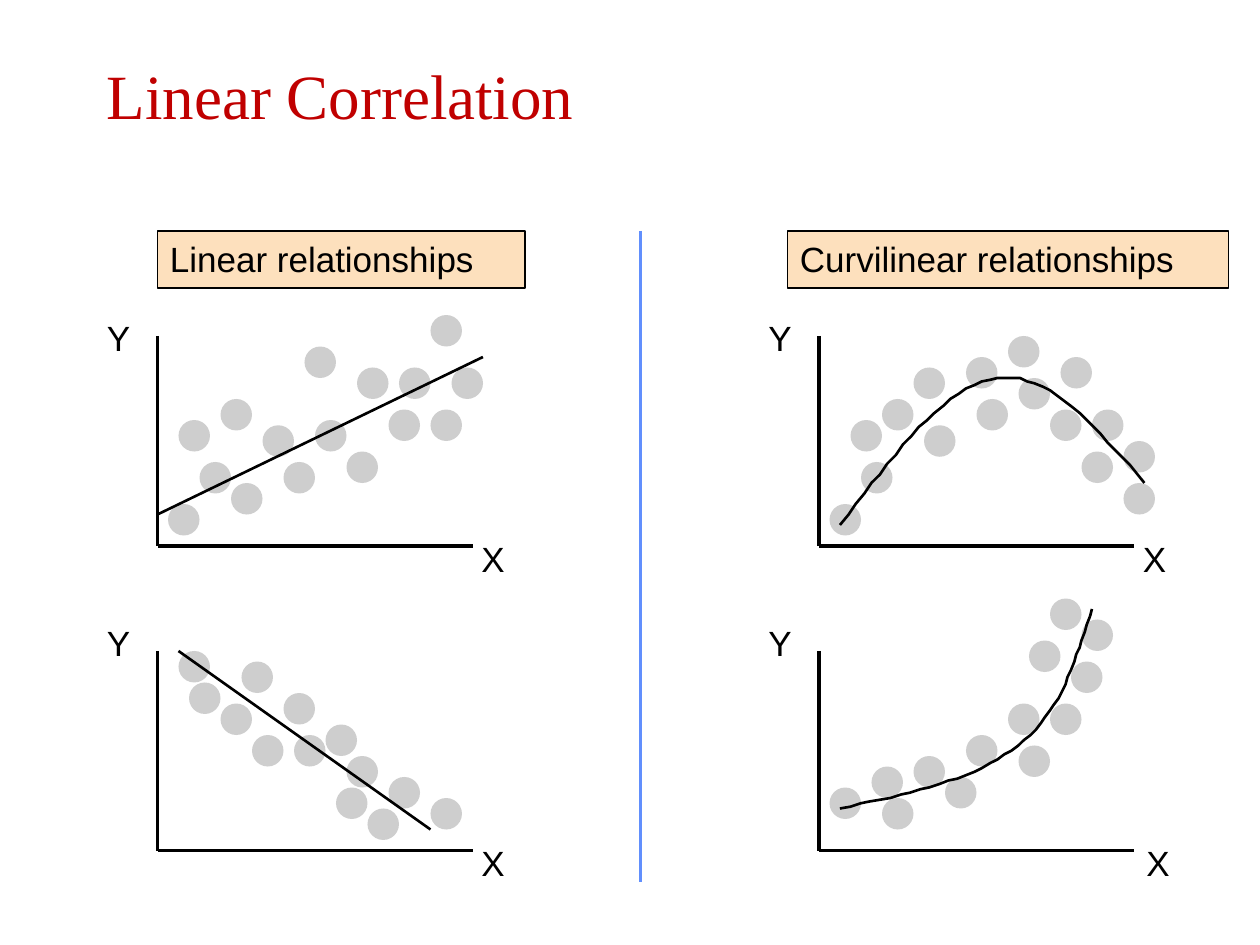
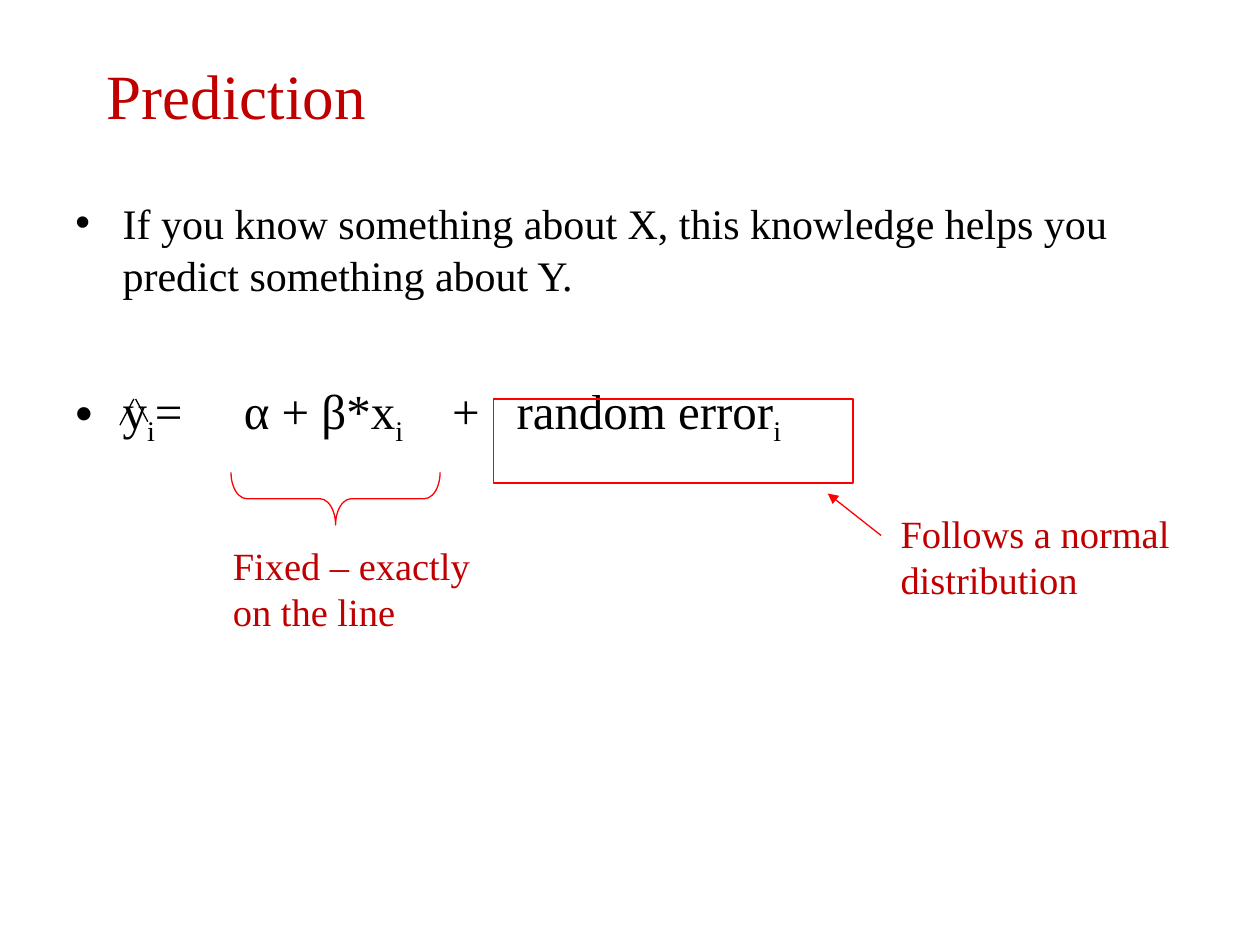
from collections import namedtuple

from lxml.etree import SubElement
from pptx import Presentation
from pptx.dml.color import RGBColor
from pptx.enum.shapes import MSO_CONNECTOR as Connector, MSO_SHAPE as Shape
from pptx.enum.text import MSO_ANCHOR as Anchor
from pptx.oxml.ns import qn
from pptx.util import Pt

SANS, SERIF = "Arial", "Times New Roman"
BLACK, DARK_RED, RED = "000000", "C00000", "FF0000"
DOT_GRAY, CAPTION_FILL, DIVIDER_BLUE = "CECECE", "FDE0BD", "618FFD"
GRID = 6
DOT_SIZE = 18
CURVE_STEPS = 20

Box = namedtuple("Box", "left top width height")

RISING_DOTS = [(1, 16), (4, 12), (26, -2), (28, 3), (7, 14), (23, 3), (18, 11), (19, 3),
               (14, 1), (2, 8), (6, 6), (10, 8.5), (22, 7), (15, 8), (12, 12), (26, 7)]
FALLING_DOTS = [(20, 15), (3, 3), (26, 14), (8, 1), (18, 10), (22, 12), (12, 4),
                (2, 0), (6, 5), (9, 8), (17, 13), (16, 7), (13, 8)]
ARCH_DOTS = [(1, 16), (4, 12), (29, 10), (23, 2), (9, 3), (29, 14), (25, 11), (19, 4),
             (14, 2), (3, 8), (6, 6), (10, 8.5), (22, 7), (15, 6), (18, 0), (26, 7)]
GROWTH_DOTS = [(1, 13), (5, 11), (25, -3), (24, 1), (6, 14), (20, -1), (19, 9),
               (18, 5), (22, -5), (9, 10), (22, 5), (14, 8), (12, 12)]
RISING_LINE = [(0, 17), (31, 2)]
FALLING_LINE = [(2, 0), (26, 17)]
ARCH_CURVE = [(2, 18), (7.1, 11.3), (12.1, 4.7), (17, 4), (21.8, 3.3), (26.4, 8.7), (31, 14)]
GROWTH_CURVE = [(2, 15), (8.5, 13.6), (15, 12.2), (19, 9), (23, 5.8), (24.5, 0.9), (26, -4)]


def color(value):
    return RGBColor.from_string(value)


def style_font(font, size, name, value):
    font.size = Pt(size)
    font.name = name
    font.color.rgb = color(value)


def style_line(line, value, width):
    line.color.rgb = color(value)
    line.width = Pt(width)


def add_text(slide, box, text, size, name, value, wrap=True):
    shape = slide.shapes.add_textbox(*map(Pt, box))
    frame = shape.text_frame
    frame.word_wrap = wrap
    frame.text = text
    style_font(frame.paragraphs[0].font, size, name, value)
    return shape


def add_shape(slide, kind, box, fill=None, line=None, width=1):
    shape = slide.shapes.add_shape(kind, *map(Pt, box))
    shape.shadow.inherit = False
    if fill:
        shape.fill.solid()
        shape.fill.fore_color.rgb = color(fill)
    else:
        shape.fill.background()
    if line:
        style_line(shape.line, line, width)
    else:
        shape.line.fill.background()
    return shape


def add_line(slide, start, end, value=BLACK, width=2, arrow=False):
    connector = slide.shapes.add_connector(Connector.STRAIGHT, *map(Pt, (*start, *end)))
    style_line(connector.line, value, width)
    properties = connector._element.spPr
    if arrow:
        SubElement(properties.find(qn("a:ln")), qn("a:tailEnd"), type="triangle")
    SubElement(properties, qn("a:effectLst"))


def bezier_point(controls, t):
    weights = ((1 - t) ** 3, 3 * t * (1 - t) ** 2, 3 * t * t * (1 - t), t ** 3)
    return tuple(sum(w * point[axis] for w, point in zip(weights, controls)) for axis in (0, 1))


def add_curve(slide, points):
    vertices = [bezier_point(points[first:first + 4], step / CURVE_STEPS)
                for first in range(0, len(points) - 1, 3)
                for step in range(1, CURVE_STEPS + 1)]
    builder = slide.shapes.build_freeform(*points[0], scale=Pt(1))
    builder.add_line_segments(vertices, close=False)
    shape = builder.convert_to_shape()
    shape.shadow.inherit = False
    shape.fill.background()
    style_line(shape.line, BLACK, 1.5)


def add_title(slide, text):
    title = add_text(slide, Box(54, 12, 612, 84), text, 36, SERIF, DARK_RED)
    title.text_frame.vertical_anchor = Anchor.MIDDLE


def add_caption(slide, box, text):
    shape = add_shape(slide, Shape.RECTANGLE, box, CAPTION_FILL, BLACK)
    add_text(slide, box, text, 20, SANS, BLACK)
    return shape


def add_scatter(slide, box, dots, trend, x_label_offset=178):
    def place(point):
        return box.left + point[0] * GRID, box.top + point[1] * GRID

    bottom = box.top + box.height
    corner = (box.left, bottom)
    add_line(slide, (box.left, box.top), corner)
    add_line(slide, corner, (box.left + box.width, bottom))
    for dot in dots:
        add_shape(slide, Shape.OVAL, (*place(dot), DOT_SIZE, DOT_SIZE), DOT_GRAY)
    points = [place(point) for point in trend]
    if len(points) == 2:
        add_line(slide, *points, width=1.5)
    else:
        add_curve(slide, points)
    for label, left, top in (("Y", -36, -134.5), ("X", x_label_offset, -8.5)):
        add_text(slide, Box(box.left + left, bottom + top, 28, 31), label, 20, SANS, BLACK, wrap=False)


def add_bullet(paragraph, size):
    properties = paragraph._p.get_or_add_pPr()
    properties.set("marL", str(Pt(27)))
    properties.set("indent", str(-Pt(27)))
    SubElement(properties, qn("a:buFont"), typeface=SANS)
    SubElement(properties, qn("a:buChar"), char="•")
    paragraph.line_spacing = Pt(30)
    style_font(paragraph.font, size, SERIF, BLACK)


def add_formula(paragraph):
    parts = [("y", 0, 0), ("i", 1, 0), ("=", 0, 0), (" ", 0, 28),
             ("α + β*x", 0, 0), ("i", 1, 0), (" ", 0, 21), ("+", 0, 0),
             (" ", 0, 14), ("random error", 0, 0), ("i", 1, 0)]
    for text, subscript, spacing in parts:
        run = paragraph.add_run()
        run.text = text
        style_font(run.font, 28, SERIF, BLACK)
        properties = run._r.get_or_add_rPr()
        if subscript:
            properties.set("baseline", "-25000")
        if spacing:
            properties.set("spc", str(spacing * 100))


def add_prediction_body(slide, box):
    statement = "If you know something about X, this knowledge helps you predict something about Y."
    frame = add_text(slide, box, statement, 24, SERIF, BLACK).text_frame
    add_bullet(frame.paragraphs[0], 24)
    formula = frame.add_paragraph()
    add_bullet(formula, 28)
    formula.space_before = Pt(54)
    add_formula(formula)


def add_hat(slide, box):
    middle = box.left + box.width / 2
    add_line(slide, (box.left, box.top + box.height), (middle, box.top), width=0.75)
    add_line(slide, (middle + 1, box.top), (box.left + box.width, box.top + 13), width=0.75)


def add_error_note(slide, box):
    add_shape(slide, Shape.RECTANGLE, box, line=RED, width=0.75)
    right, bottom = box.left + box.width, box.top + box.height
    add_line(slide, (right + 16, bottom + 30), (right - 14.5, bottom + 6), RED, 0.75, arrow=True)
    add_text(slide, Box(right + 20, bottom + 12, 212, 60), "Follows a normal distribution",
             22, SERIF, DARK_RED)


def add_fixed_note(slide, box):
    brace_box = Box(box.left + (box.width - box.height) / 2,
                    box.top + (box.height - box.width) / 2, box.height, box.width)
    brace = add_shape(slide, Shape.RIGHT_BRACE, brace_box, line=RED, width=0.75)
    brace.rotation = 90
    brace.adjustments[0] = 0.3
    add_text(slide, Box(box.left - 6, box.top + 36, 156, 60), "Fixed – exactly on the line",
             22, SERIF, DARK_RED)


def add_slide(presentation, title):
    slide = presentation.slides.add_slide(presentation.slide_layouts[6])
    add_title(slide, title)
    return slide


def build_correlation(presentation):
    slide = add_slide(presentation, "Linear Correlation")
    left, right, top, lower = 90, 468, 192, 372
    add_caption(slide, Box(left, 132, 210, 32.5), "Linear relationships")
    add_caption(slide, Box(450, 132, 252, 32.5), "Curvilinear relationships")
    add_line(slide, (366, 132), (366, 504), DIVIDER_BLUE, 2.25)
    add_scatter(slide, Box(left, top, 180, 120), RISING_DOTS, RISING_LINE)
    add_scatter(slide, Box(left, lower, 180, 114), FALLING_DOTS, FALLING_LINE)
    add_scatter(slide, Box(right, top, 180, 120), ARCH_DOTS, ARCH_CURVE)
    add_scatter(slide, Box(right, lower, 180, 114), GROWTH_DOTS, GROWTH_CURVE, 180)


def build_prediction(presentation):
    slide = add_slide(presentation, "Prediction")
    add_prediction_body(slide, Box(36, 108, 642, 368.5))
    add_hat(slide, Box(68.5, 228, 16, 15))
    add_error_note(slide, Box(282, 228, 205.5, 48))
    add_fixed_note(slide, Box(132, 270, 119.5, 30))


def main():
    presentation = Presentation()
    presentation.slide_width, presentation.slide_height = Pt(720), Pt(540)
    build_correlation(presentation)
    build_prediction(presentation)
    presentation.save("out.pptx")


if __name__ == "__main__":
    main()
